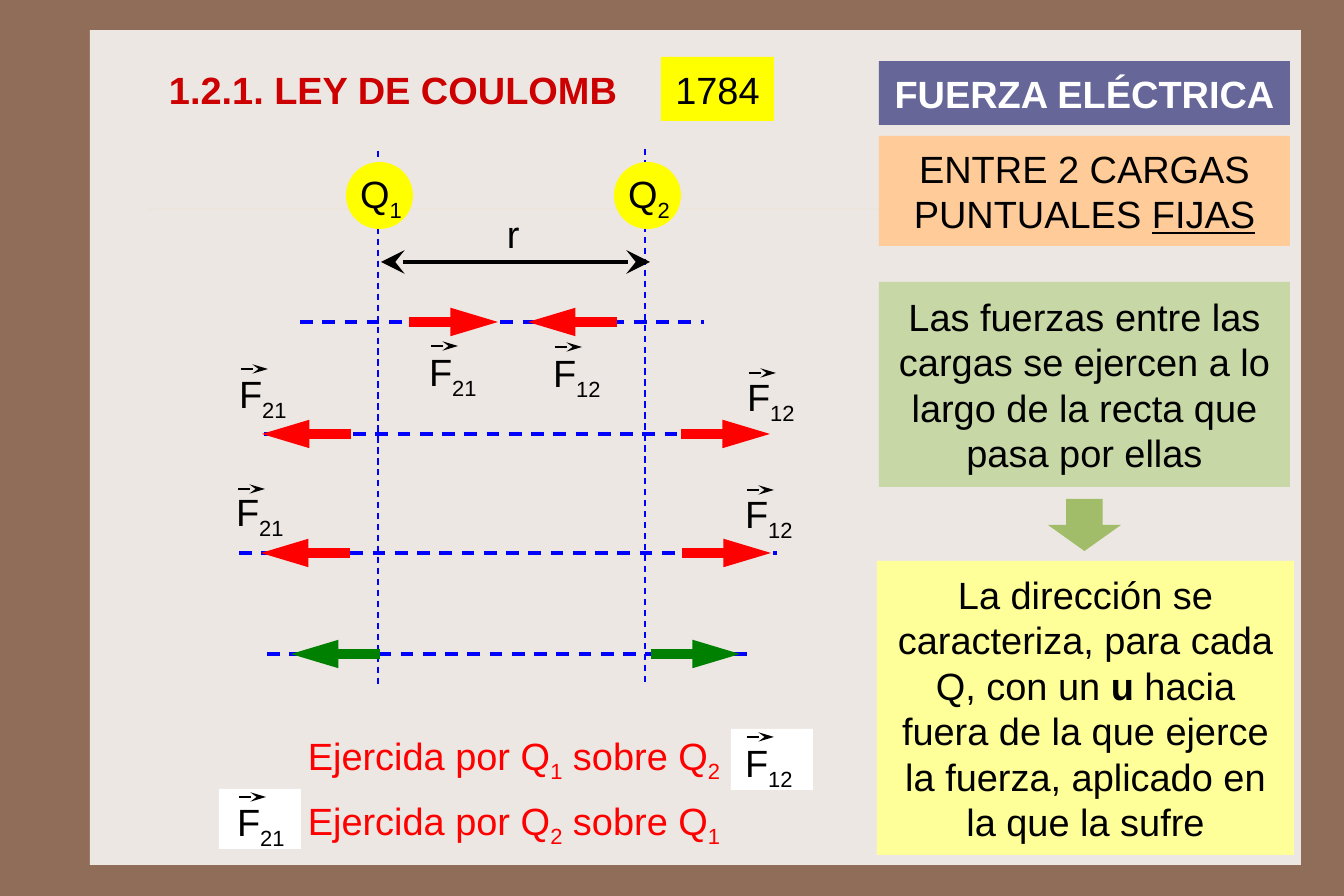
from lxml.etree import SubElement
from pptx import Presentation
from pptx.dml.color import RGBColor
from pptx.enum.dml import MSO_LINE
from pptx.enum.shapes import MSO_CONNECTOR, MSO_SHAPE
from pptx.enum.text import MSO_ANCHOR, PP_ALIGN
from pptx.oxml.ns import qn
from pptx.util import Inches, Pt

PX = Inches(11.8125) / 1344  # EMU per pixel
COLORS = {
    "brown": "906D58", "paper": "EDE7E3", "rule": "CBBD83", "blue": "0000FF",
    "red": "FF0000", "green": "008000", "crimson": "CC0000", "slate": "666699",
    "yellow": "FFFF00", "peach": "FFCC99", "sage": "C7D7A5", "cream": "FFFF99",
    "leaf": "A1BD69", "white": "FFFFFF", "black": "000000",
}
STYLES = {"bold": {"bold": True}, "underline": {"underline": True}}

prs = Presentation()
prs.slide_width, prs.slide_height = round(1344 * PX), round(896 * PX)
slide = prs.slides.add_slide(prs.slide_layouts[6])
slide.background.fill.solid()
slide.background.fill.fore_color.rgb = RGBColor.from_string(COLORS["brown"])


def add_block(box, paragraphs=(), fill=None, color="black", kind=MSO_SHAPE.RECTANGLE,
              align=PP_ALIGN.CENTER, insets=(13, 9), bold=False, **frame_format):
    """Filled shape or plain text box; paragraphs are lists of (text, style) runs."""
    place = [round(value * PX) for value in box]
    if fill:
        block = slide.shapes.add_shape(kind, *place)
        block.shadow.inherit = False
        block.fill.solid()
        block.fill.fore_color.rgb = RGBColor.from_string(COLORS[fill])
        block.line.fill.background()
    else:
        block = slide.shapes.add_textbox(*place)
    frame = block.text_frame
    across, down = (round(inset * PX) for inset in insets)
    values = {"margin_left": across, "margin_right": across, "margin_top": down,
              "margin_bottom": down, "word_wrap": True,
              "vertical_anchor": MSO_ANCHOR.MIDDLE} | frame_format
    for name, value in values.items():
        setattr(frame, name, value)
    for index, runs in enumerate(paragraphs):
        paragraph = frame.add_paragraph() if index else frame.paragraphs[0]
        paragraph.alignment = align
        for text, style in runs:
            run = paragraph.add_run()
            run.text = text
            font_format = {"name": "Arial", "size": Pt(24), "bold": bold}
            for name, value in (font_format | STYLES.get(style, {})).items():
                setattr(run.font, name, value)
            run.font.color.rgb = RGBColor.from_string(COLORS[color])
            if style == "sub":
                run.font._element.set("baseline", "-25000")


def add_line(start, end, color, width, dash=None, head=None, tail=None,
             head_width="med", alpha=None):
    line = slide.shapes.add_connector(
        MSO_CONNECTOR.STRAIGHT, *(round(value * PX) for value in (*start, *end)))
    line.line.color.rgb = RGBColor.from_string(COLORS[color])
    line.line.width = Pt(width)
    if dash:
        line.line.dash_style = dash
    outline = line.line._get_or_add_ln()
    if alpha:
        SubElement(outline.find(".//" + qn("a:srgbClr")), qn("a:alpha"), val=alpha)
    for tag, arrow in (("a:headEnd", head), ("a:tailEnd", tail)):
        if arrow:
            SubElement(outline, qn(tag), type=arrow, w=head_width, len="lg")
    SubElement(line._element.spPr, qn("a:effectLst"))


LABEL = {"align": PP_ALIGN.LEFT, "insets": (11, 6), "margin_right": 0,
         "vertical_anchor": MSO_ANCHOR.TOP}

# Page and rule
add_block((90, 30, 1211, 835), fill="paper")
add_line((149, 209), (1276, 209), "rule", 0.25, alpha="30000")

# Title and year
add_block((157, 60, 844, 58), [[("1.2.1. LEY DE COULOMB", "")]], color="crimson",
          align=PP_ALIGN.LEFT, bold=True, insets=(12, 6))
add_block((661, 57, 113, 64), [[("1784", "")]], fill="yellow", word_wrap=False)

# Verticals through the charges
for x, top in ((378, 151), (645, 149)):
    add_line((x, top), (x, top + 537), "blue", 1, MSO_LINE.DASH)

# Force rows: y, dashed extent, colour, (start, direction) of each force
force_length = 89
for y, left, right, color, forces in (
    (322, 300, 704, "red", ((409, 1), (617, -1))),
    (434, 264, 752, "red", ((351, -1), (681, 1))),
    (553, 239, 777, "red", ((350, -1), (682, 1))),
    (654, 267, 756, "green", ((380, -1), (651, 1))),
):
    add_line((left, y), (right, y), "blue", 2, MSO_LINE.DASH)
    for start, direction in forces:
        add_line((start, y), (start + direction * force_length, y), color, 6,
                 tail="triangle")

# Charges
for number, x in (("1", 346), ("2", 614)):
    add_block((x, 162, 67, 67), fill="yellow", kind=MSO_SHAPE.OVAL)
    add_block((x + 3, 165, 58, 49), [[("Q", ""), (number, "sub")]], **LABEL)

# Distance
add_block((496, 205, 38, 65), [[("r", "")]], **LABEL)
add_line((381, 262), (650, 262), "black", 3, head="stealth", tail="stealth",
         head_width="lg")

# Legend
for y, source, target in ((726, "1", "2"), (791, "2", "1")):
    add_block((292, y, 444, 64), [[("Ejercida por Q", ""), (source, "sub"),
                                   (" sobre Q", ""), (target, "sub")]], color="red")
for box in ((731, 729, 82, 61), (219, 789, 82, 60)):
    add_block(box, fill="white")

# Force vectors: subscript, left, top, drop of the arrow above F
for subscript, left, top, drop in (
    ("21", 228, 365, 4), ("21", 418, 343, 3), ("21", 225, 483, 6), ("21", 226, 793, 4),
    ("12", 542, 344, 3), ("12", 736, 368, 5), ("12", 734, 485, 5), ("12", 734, 734, 3),
):
    add_block((left, top, 65, 49), [[("F", ""), (subscript, "sub")]], **LABEL)
    add_line((left + 13, top + drop), (left + 40, top + drop), "black", 1, tail="stealth")

# Explanation column
add_block((879, 61, 411, 64), [[("FUERZA ELÉCTRICA", "")]], fill="slate",
          color="white", bold=True, word_wrap=False)
add_block((879, 136, 411, 110), [[("ENTRE 2 CARGAS PUNTUALES ", ""),
                                  ("FIJAS", "underline")]], fill="peach")
add_block((879, 282, 411, 205), [[("Las fuerzas entre las cargas se ejercen a lo largo "
                                   "de la recta que pasa por ellas", "")]],
          fill="sage", insets=(11, 10))
add_block((1048, 499, 73, 52), fill="leaf", kind=MSO_SHAPE.DOWN_ARROW)
add_block((877, 561, 417, 294), [
    [("La dirección se caracteriza, para cada Q, con un ", ""), ("u", "bold"),
     (" hacia fuera de la que ejerce", "")],
    [("la fuerza, aplicado en la que la sufre", "")],
], fill="cream")

prs.save("out.pptx")
